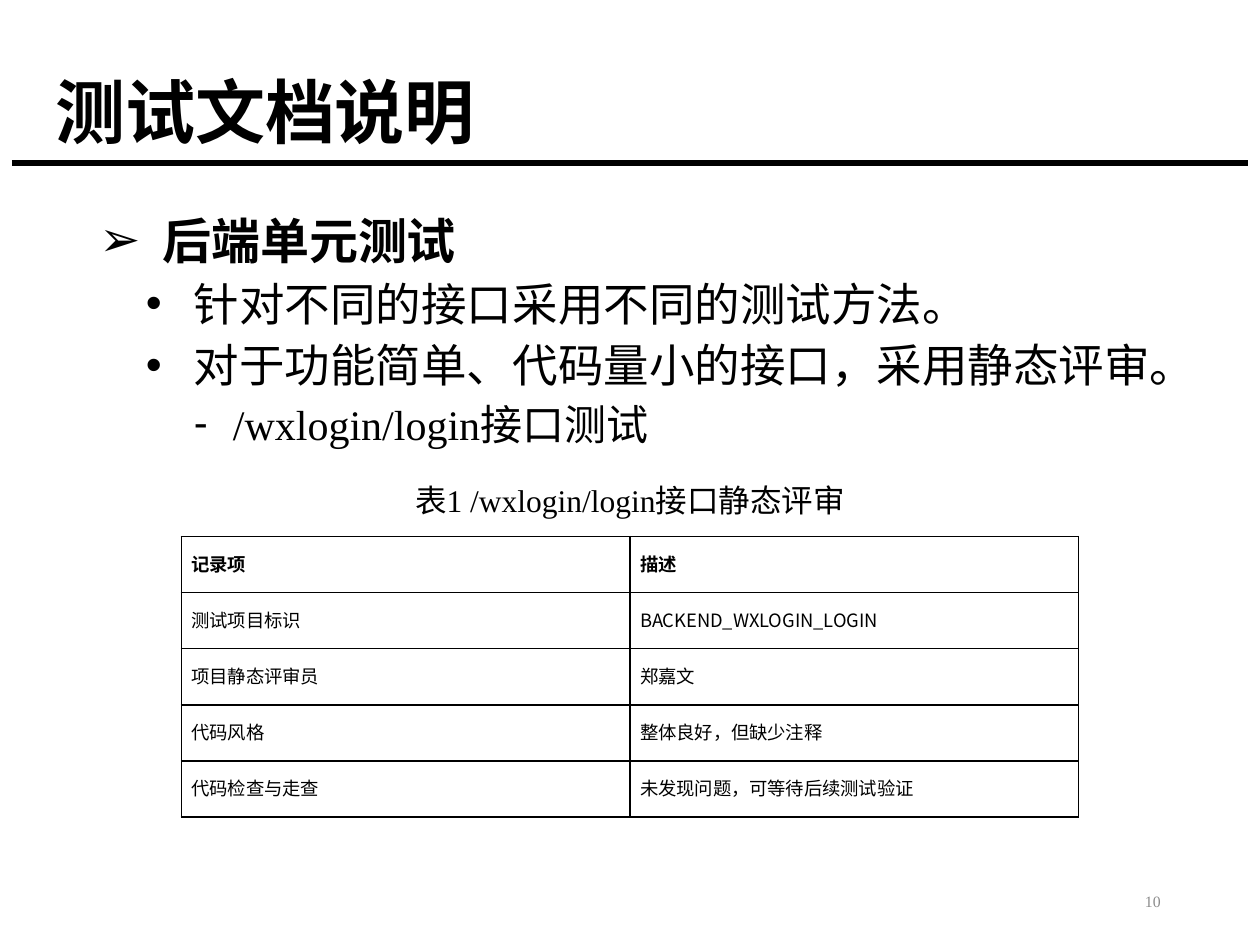
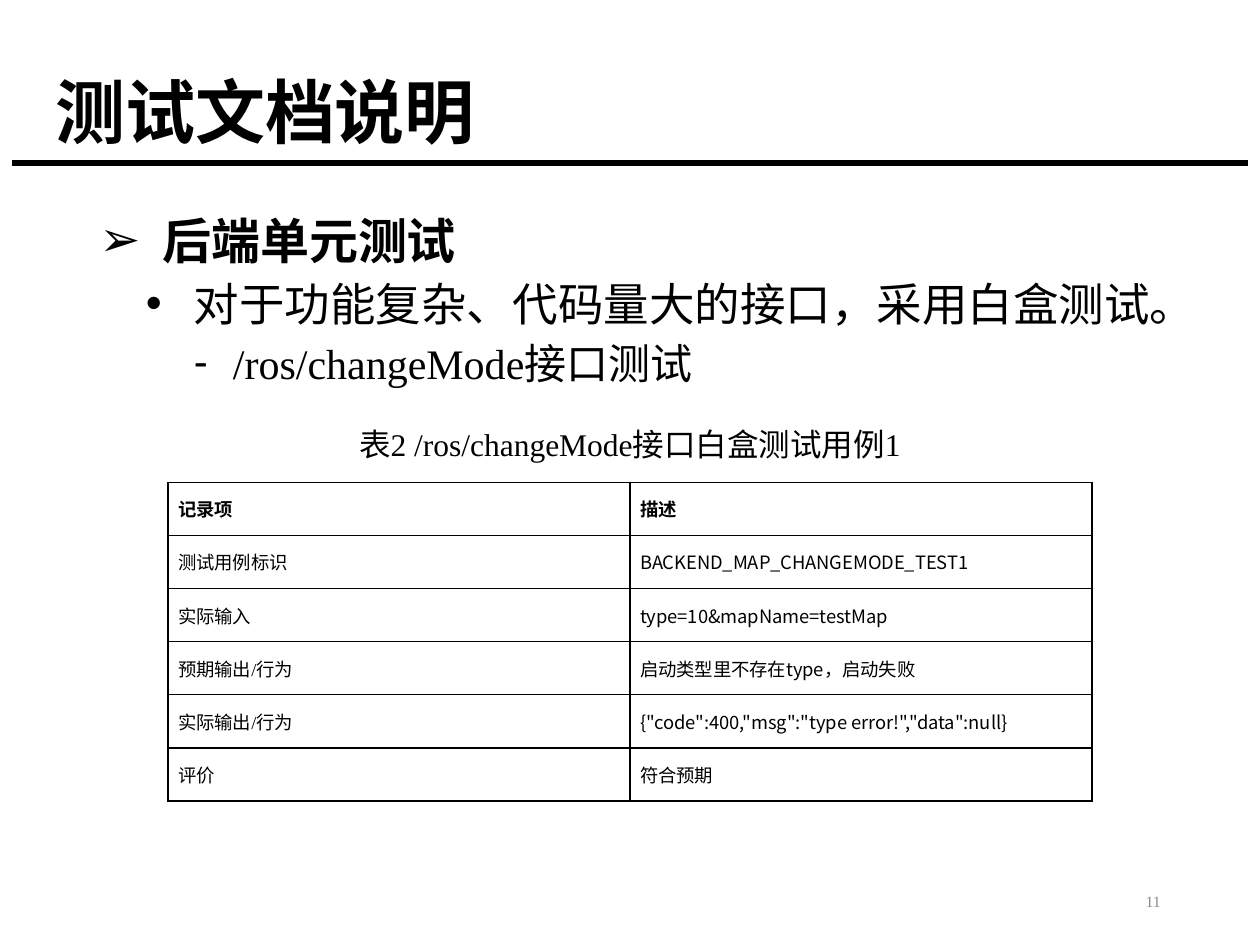
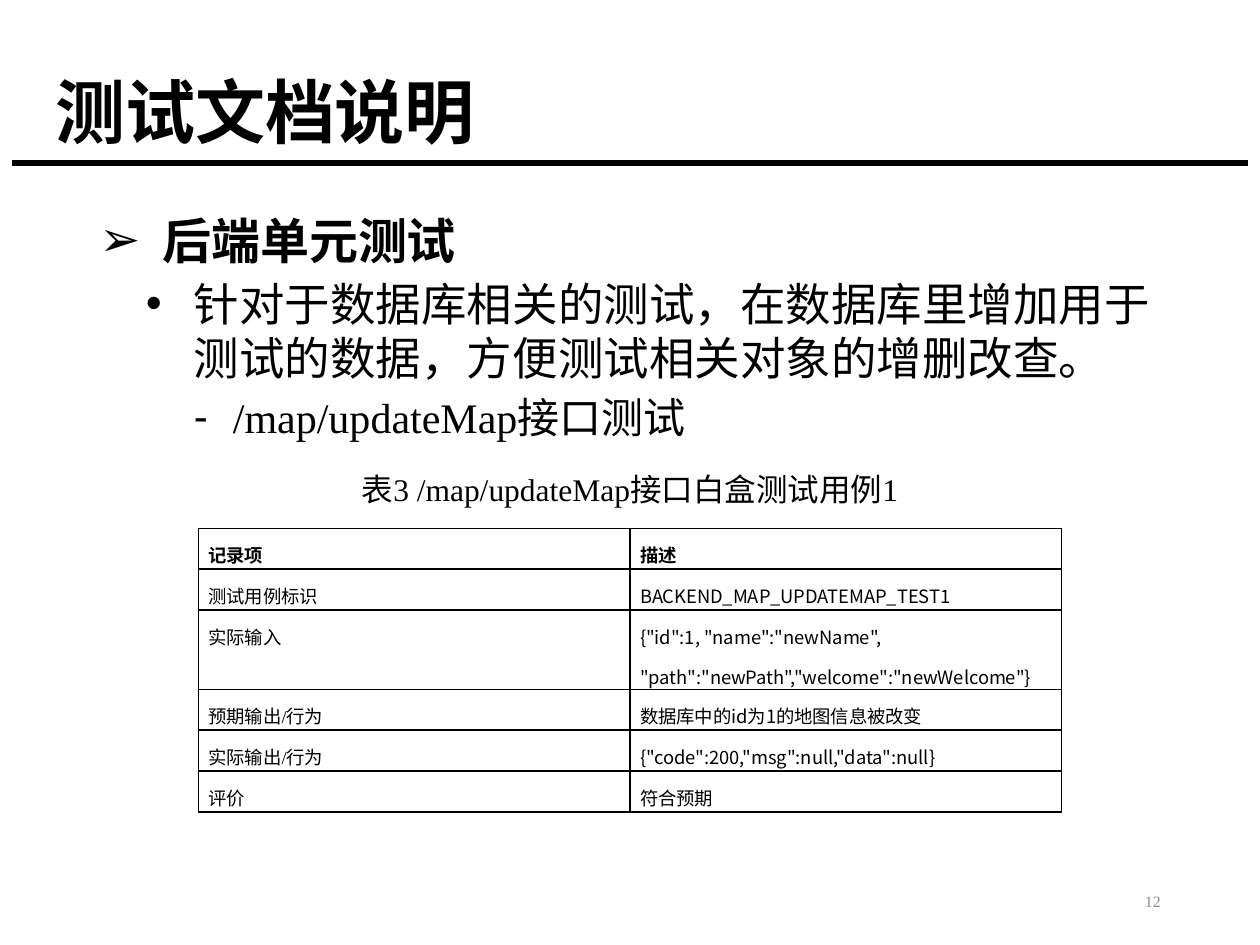
from dataclasses import dataclass

from lxml.etree import SubElement
from pptx import Presentation
from pptx.dml.color import RGBColor
from pptx.enum.lang import MSO_LANGUAGE_ID as Language
from pptx.enum.shapes import MSO_CONNECTOR as Connector
from pptx.enum.text import MSO_ANCHOR as Anchor, PP_ALIGN as Align
from pptx.oxml.ns import qn
from pptx.util import Inches, Pt


@dataclass(frozen=True)
class Theme:
    ink: RGBColor = RGBColor(0, 0, 0)
    muted: RGBColor = RGBColor(0x8C, 0x8C, 0x8C)
    serif: str = "Times New Roman"
    heading: str = "Calibri"
    body: str = "Cambria"
    sans: str = "Noto Sans CJK SC"
    title_size: float = 40
    caption_size: float = 18
    table_size: float = 10.5
    number_size: float = 9
    rule_width: float = 3
    border_width: float = 1


THEME = Theme()
WIDTH, HEIGHT = Inches(10), Inches(7.5)
COLUMN, ROW = WIDTH / 100, HEIGHT / 100  # grid of 100 by 100
TEXT_INSETS = dict(margin_left=Inches(0.1), margin_right=Inches(0.1),
                   margin_top=Inches(0.05), margin_bottom=Inches(0.05))
CELL_INSETS = dict(margin_left=Inches(0.08), margin_right=Inches(0.07),
                   margin_top=0, margin_bottom=0)

# Outline levels: bullet, indents in inches, space before and type
LEVELS = [
    dict(bullet="➢", left=0.5, hang=0.5, before=7.5, size=28, name=THEME.serif, bold=True),
    dict(bullet="•", left=0.75, hang=0.38, before=3.8, size=26, name=THEME.body, bold=False),
    dict(bullet="-", left=1.06, hang=0.31, before=3.8, size=24, name=THEME.serif, bold=False),
]

TITLE = "测试文档说明"
TOPIC = (0, "后端单元测试")
HEADER = ("记录项", "描述")

# Each table cell is a text, or a tuple of runs
SLIDES = [
    dict(
        number=10,
        outline=[TOPIC,
                 (1, "针对不同的接口采用不同的测试方法。"),
                 (1, "对于功能简单、代码量小的接口，采用静态评审。"),
                 (2, "/wxlogin/login接口测试")],
        caption=("表1 /wxlogin/login接口静态评审", 48.27, 37.3),
        table=dict(top=56.8, width=71.2, row_heights=[5.93] * 5, rows=[
            HEADER,
            ("测试项目标识", "BACKEND_WXLOGIN_LOGIN"),
            ("项目静态评审员", "郑嘉文"),
            ("代码风格", "整体良好，但缺少注释"),
            ("代码检查与走查", "未发现问题，可等待后续测试验证")]),
    ),
    dict(
        number=11,
        outline=[TOPIC,
                 (1, "对于功能复杂、代码量大的接口，采用白盒测试。"),
                 (2, "/ros/changeMode接口测试")],
        caption=("表2 /ros/changeMode接口白盒测试用例1", 42.27, 47.6),
        table=dict(top=51.05, width=73.3, row_heights=[5.62] * 6, rows=[
            HEADER,
            ("测试用例标识", "BACKEND_MAP_CHANGEMODE_TEST1"),
            ("实际输入", "type=10&mapName=testMap"),
            ("预期输出/行为", ("启动类型里不存在", "type", "，启动失败")),
            ("实际输出/行为", '{"code":400,"msg":"type error!","data":null}'),
            ("评价", "符合预期")]),
    ),
    dict(
        number=12,
        outline=[TOPIC,
                 (1, "针对于数据库相关的测试，在数据库里增加用于测试的数据，方便测试相关对象的增删改查。"),
                 (2, "/map/updateMap接口测试")],
        caption=("表3 /map/updateMap接口白盒测试用例1", 47.07, 50),
        table=dict(top=55.9, width=68.5, row_heights=[4.32] * 2 + [8.43] + [4.32] * 3, rows=[
            HEADER,
            ("测试用例标识", "BACKEND_MAP_UPDATEMAP_TEST1"),
            ("实际输入",
             '{"id":1, "name":"newName", "path":"newPath","welcome":"newWelcome"}'),
            ("预期输出/行为", ("数据库中的", "id", "为", "1", "的地图信息被改变")),
            ("实际输出/行为", '{"code":200,"msg":null,"data":null}'),
            ("评价", "符合预期")]),
    ),
]


def set_all(target, **values):
    for name, value in values.items():
        setattr(target, name, value)


def place(left, top, width, height):
    """Turn grid columns and rows into slide lengths."""
    return [round(length) for length in
            (left * COLUMN, top * ROW, width * COLUMN, height * ROW)]


def add_run(paragraph, text, size, name=THEME.serif, bold=False, color=THEME.ink):
    run = paragraph.add_run()
    run.text = text
    set_all(run.font, size=Pt(size), name=name, bold=bold,
            language_id=Language.SIMPLIFIED_CHINESE)
    run.font.color.rgb = color
    SubElement(run.font._element, qn("a:ea"), typeface=THEME.sans)


def add_text_frame(slide, box, **values):
    frame = slide.shapes.add_textbox(*place(*box)).text_frame
    set_all(frame, **{"word_wrap": True, **TEXT_INSETS, **values})
    return frame


# Parts that every slide shares
def add_title(slide, text):
    frame = add_text_frame(slide, (3.4, 5.25, 86.2, 14.13), vertical_anchor=Anchor.MIDDLE)
    paragraph = frame.paragraphs[0]
    paragraph.line_spacing = 0.9
    add_run(paragraph, text, THEME.title_size, THEME.heading, bold=True)


def add_rule(slide):
    left, top, right, bottom = place(0.95, 17.25, 99.05, 17.25)
    rule = slide.shapes.add_connector(Connector.STRAIGHT, left, top, right, bottom)
    rule.line.color.rgb = THEME.ink
    rule.line.width = Pt(THEME.rule_width)
    SubElement(rule._element.spPr, qn("a:effectLst"))


def add_slide_number(slide, number):
    frame = add_text_frame(slide, (70.6, 92.67, 22.5, 5.33), vertical_anchor=Anchor.MIDDLE)
    paragraph = frame.paragraphs[0]
    paragraph.alignment = Align.RIGHT
    add_run(paragraph, str(number), THEME.number_size, color=THEME.muted)


# Bulleted outline
def add_bullet(paragraph, bullet, left, hang):
    properties = paragraph._p.get_or_add_pPr()
    for name, value in dict(marL=Inches(left), indent=-Inches(hang), hangingPunct=1).items():
        properties.set(name, str(value))
    SubElement(properties, qn("a:buFont"), typeface="Arial")
    SubElement(properties, qn("a:buChar"), char=bullet)


def add_outline(slide, items):
    frame = add_text_frame(slide, (6.9, 21.6, 86.2, 66.8))
    for index, (level, text) in enumerate(items):
        paragraph = frame.add_paragraph() if index else frame.paragraphs[0]
        style = LEVELS[level]
        set_all(paragraph, level=level, space_before=Pt(style["before"]))
        add_bullet(paragraph, style["bullet"], style["left"], style["hang"])
        add_run(paragraph, text, style["size"], style["name"], style["bold"])


# Captioned table
def add_caption(slide, text, top, width):
    frame = add_text_frame(slide, ((100 - width) / 2, top, width, 6.67), word_wrap=False)
    paragraph = frame.paragraphs[0]
    set_all(paragraph, alignment=Align.CENTER, line_spacing=1.5)
    add_run(paragraph, text, THEME.caption_size)


def add_borders(cell):
    properties = cell._tc.get_or_add_tcPr()
    for index, side in enumerate(("lnL", "lnR", "lnT", "lnB")):
        line = properties.makeelement(qn(f"a:{side}"), {"w": str(Pt(THEME.border_width))})
        SubElement(SubElement(line, qn("a:solidFill")), qn("a:srgbClr"), val=str(THEME.ink))
        properties.insert(index, line)


def fill_cell(cell, content, bold):
    runs = (content,) if isinstance(content, str) else content
    is_code = any(mark in runs[0] for mark in "=:")
    set_all(cell, **CELL_INSETS)
    cell.fill.background()
    add_borders(cell)
    paragraph = cell.text_frame.paragraphs[0]
    set_all(paragraph, alignment=Align.LEFT if is_code else Align.JUSTIFY, line_spacing=1.5)
    for text in runs:
        add_run(paragraph, text, THEME.table_size,
                THEME.sans if text.isascii() else THEME.serif, bold)


def add_record_table(slide, top, width, row_heights, rows):
    box = place((100 - width) / 2, top, width, sum(row_heights))
    table = slide.shapes.add_table(len(rows), len(HEADER), *box).table
    set_all(table, first_row=False, horz_banding=False)
    for row_index, (height, contents) in enumerate(zip(row_heights, rows)):
        table.rows[row_index].height = round(height * ROW)
        for column_index, content in enumerate(contents):
            fill_cell(table.cell(row_index, column_index), content, bold=row_index == 0)


def main():
    presentation = Presentation()
    set_all(presentation, slide_width=WIDTH, slide_height=HEIGHT)
    for content in SLIDES:
        slide = presentation.slides.add_slide(presentation.slide_layouts[6])
        add_rule(slide)
        add_title(slide, TITLE)
        add_outline(slide, content["outline"])
        add_slide_number(slide, content["number"])
        add_caption(slide, *content["caption"])
        add_record_table(slide, **content["table"])
    presentation.save("out.pptx")


if __name__ == "__main__":
    main()
